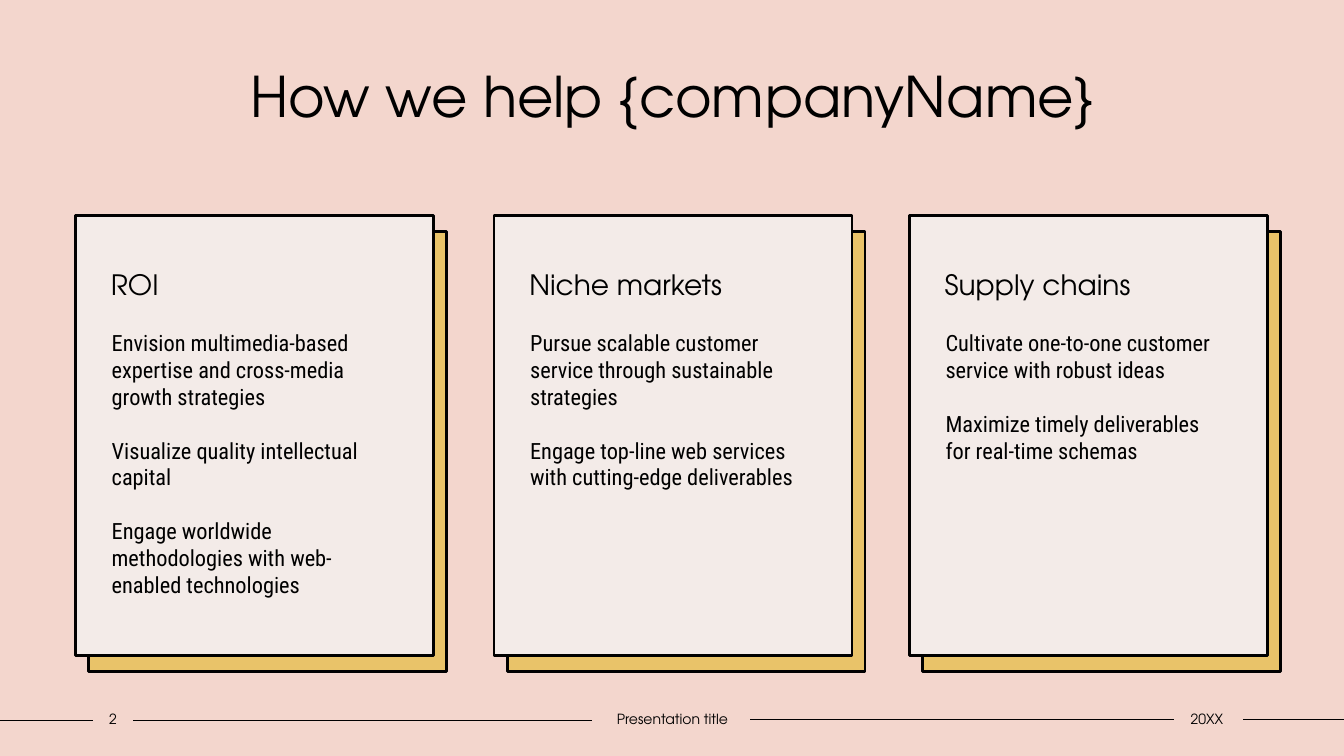
from pptx import Presentation
from pptx.dml.color import RGBColor
from pptx.enum.shapes import MSO_CONNECTOR, MSO_SHAPE
from pptx.enum.text import MSO_ANCHOR, PP_ALIGN
from pptx.oxml.ns import qn
from pptx.util import Inches, Pt
from lxml.etree import SubElement

HEADING_FONT = "TeX Gyre Adventor"
BODY_FONT = "Roboto Condensed"
BLACK, PINK, CREAM, GOLD = "000000", "F3D6CD", "F3EBE8", "E9C369"
CARD_TOP, CARD_WIDTH, CARD_HEIGHT = 2.14, 3.55, 4.36

CARDS = [
    (0.75, "ROI", [
        "Envision multimedia-based expertise and cross-media growth strategies",
        "Visualize quality intellectual capital",
        "Engage worldwide methodologies with web-enabled technologies",
    ]),
    (4.9, "Niche markets", [
        "Pursue scalable customer service through sustainable strategies",
        "Engage top-line web services with cutting-edge deliverables",
    ]),
    (9.02, "Supply chains", [
        "Cultivate one-to-one customer service with robust ideas",
        "Maximize timely deliverables for real-time schemas",
    ]),
]
FOOTER_LINES = [(0, 0.92, 7.15), (1.32, 5.87, 7.15), (7.44, 11.64, 7.14), (12.33, 13.33, 7.14)]
FOOTER_TEXTS = [(0.92, 0.4, "2"), (5.87, 1.6, "Presentation title"), (11.62, 0.7, "20XX")]


def color(value):
    return RGBColor.from_string(value)


def set_frame(frame, insets, anchor=MSO_ANCHOR.TOP):
    frame.word_wrap = True
    frame.vertical_anchor = anchor
    frame.margin_left, frame.margin_top, frame.margin_right, frame.margin_bottom = map(Inches, insets)


def add_run(paragraph, text, size, font_name):
    run = paragraph.add_run()
    run.text = text
    run.font.size = Pt(size)
    run.font.name = font_name
    run.font.color.rgb = color(BLACK)


def add_text(slide, box, texts, size, font_name, align=PP_ALIGN.LEFT,
             insets=(0.1, 0.05, 0.1, 0.05), anchor=MSO_ANCHOR.TOP, gap=0):
    frame = slide.shapes.add_textbox(*map(Inches, box)).text_frame
    set_frame(frame, insets, anchor)
    for index, text in enumerate(texts):
        paragraph = frame.add_paragraph() if index else frame.paragraphs[0]
        paragraph.alignment = align
        paragraph.space_before = Pt(gap if index else 0)
        add_run(paragraph, text, size, font_name)


def add_panel(slide, left, top, fill):
    shape = slide.shapes.add_shape(
        MSO_SHAPE.RECTANGLE, Inches(left), Inches(top), Inches(CARD_WIDTH), Inches(CARD_HEIGHT))
    shape.shadow.inherit = False
    shape.fill.solid()
    shape.fill.fore_color.rgb = color(fill)
    shape.line.color.rgb = color(BLACK)
    shape.line.width = Pt(2)
    return shape


def add_card(slide, left, heading, points):
    add_panel(slide, left + 0.13, CARD_TOP + 0.16, GOLD)
    frame = add_panel(slide, left, CARD_TOP, CREAM).text_frame
    set_frame(frame, (0.35, 0.55, 0.1, 0.05))
    paragraph = frame.paragraphs[0]
    paragraph.alignment = PP_ALIGN.LEFT
    paragraph.line_spacing = 0.9
    paragraph.space_before = Pt(10)
    add_run(paragraph, heading, 20, HEADING_FONT)
    add_text(slide, (left + 0.26, 3.22, 3, 3.05), points, 16, BODY_FONT, gap=19)


def add_rule(slide, start, end, height):
    connector = slide.shapes.add_connector(
        MSO_CONNECTOR.STRAIGHT, Inches(start), Inches(height), Inches(end), Inches(height))
    connector.line.color.rgb = color(BLACK)
    connector.line.width = Pt(1)
    SubElement(connector._element.spPr, qn("a:effectLst"))


def main():
    presentation = Presentation()
    presentation.slide_width = Inches(13.33)
    presentation.slide_height = Inches(7.5)
    slide = presentation.slides.add_slide(presentation.slide_layouts[6])
    slide.background.fill.solid()
    slide.background.fill.fore_color.rgb = color(PINK)

    for start, end, height in FOOTER_LINES:
        add_rule(slide, start, end, height)
    add_text(slide, (1.25, 0.56, 10.84, 1.11), ["How we help {companyName}"],
             40, HEADING_FONT, PP_ALIGN.CENTER)
    for left, heading, points in CARDS:
        add_card(slide, left, heading, points)
    for left, width, text in FOOTER_TEXTS:
        add_text(slide, (left, 7, width, 0.27), [text], 10, HEADING_FONT, PP_ALIGN.CENTER,
                 insets=(0, 0.05, 0, 0.05), anchor=MSO_ANCHOR.MIDDLE)

    presentation.save("out.pptx")


if __name__ == "__main__":
    main()
